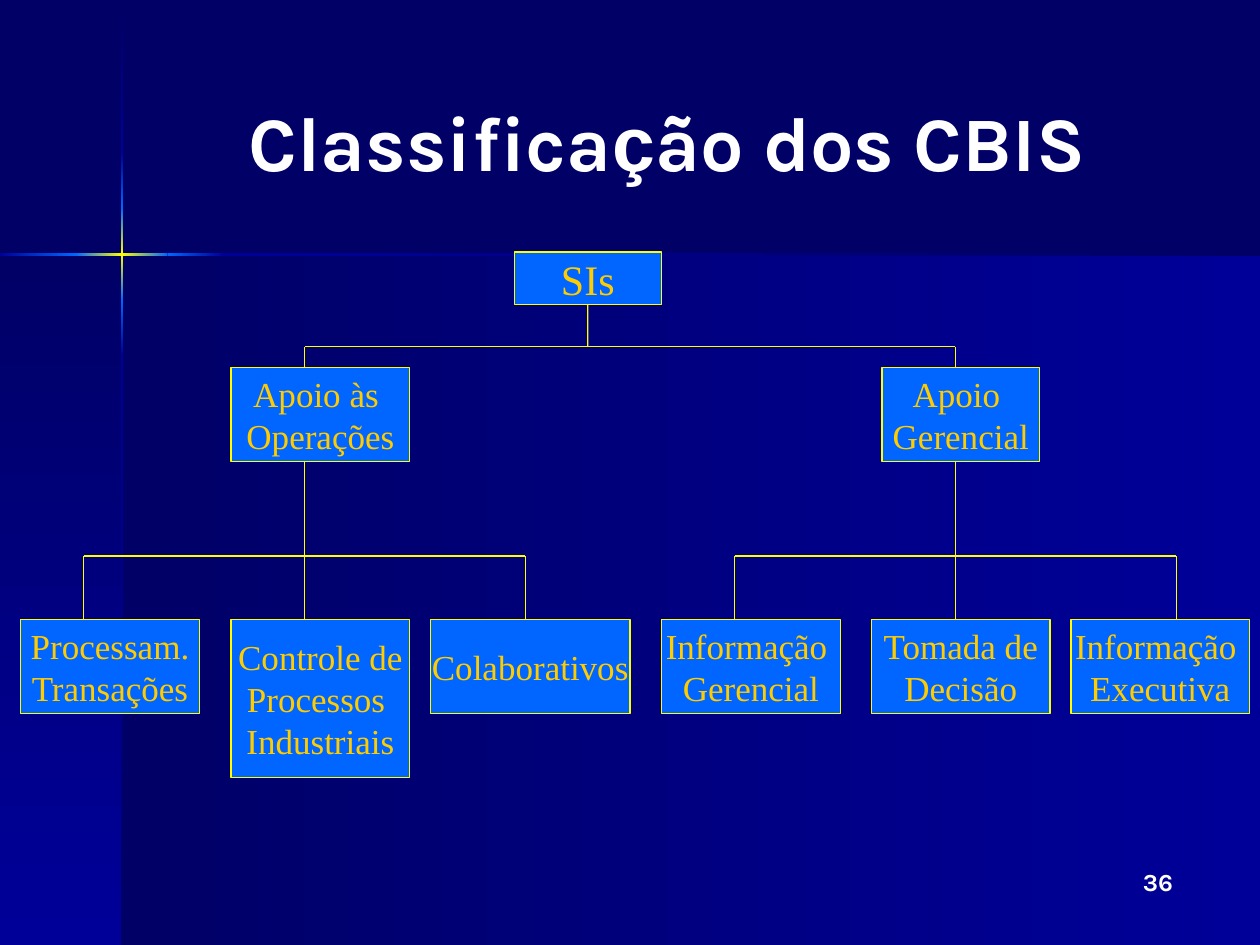
"""Build the slide with the classification tree of the CBIS."""
import itertools

import lxml.etree
import pptx
import pptx.dml.color
import pptx.enum.shapes
import pptx.enum.text
import pptx.oxml.ns
import pptx.util

Cm = pptx.util.Cm
RGBColor = pptx.dml.color.RGBColor
ALIGN = pptx.enum.text.PP_ALIGN
ANCHOR = pptx.enum.text.MSO_ANCHOR
qn = pptx.oxml.ns.qn

NAVY = RGBColor(0x00, 0x00, 0x66)
BLUE = RGBColor(0x00, 0x00, 0x99)
BRIGHT = RGBColor(0x00, 0x66, 0xFF)
YELLOW = RGBColor(0xFF, 0xFF, 0x00)
GOLD = RGBColor(0xFF, 0xCC, 0x00)
WHITE = RGBColor(0xFF, 0xFF, 0xFF)

RIGHT, DOWN = 0, 270
WIDTH, HEIGHT = 25.4, 19.05
CROSS_X, CROSS_Y = 2.46, 5.13
BEAM = 0.05
ROOT_BUS, LEAF_BUS = 6.99, 11.21
BRANCH_TOP, BRANCH_BOTTOM, LEAF_TOP = 7.41, 9.31, 12.49
BOX_W, BOX_H = 3.6, 1.9
LEAF_STEP = 4.45

BRANCHES = [
    (6.14, 4.66, BOX_W, "Apoio às \nOperações"),
    (19.26, 17.78, 3.18, "Apoio \nGerencial"),
]
LEAVES = [
    (0.42, BOX_W, BOX_H, "Processam.\nTransações"),
    (4.66, BOX_W, 3.18, "Controle de\nProcessos \nIndustriais"),
    (8.68, 4.02, BOX_H, "Colaborativos"),
    (13.34, BOX_W, BOX_H, "Informação \nGerencial"),
    (17.57, BOX_W, BOX_H, "Tomada de\nDecisão"),
    (21.59, BOX_W, BOX_H, "Informação \nExecutiva"),
]


def write_text(tf, text, *, size, color, font="Times New Roman", bold=False,
               align=ALIGN.CENTER, anchor=ANCHOR.MIDDLE, wrap=False, arial=""):
    """Write one paragraph per line, setting the characters of arial in Arial."""
    tf.word_wrap = wrap
    tf.vertical_anchor = anchor
    for i, line in enumerate(text.split("\n")):
        p = tf.paragraphs[0] if i == 0 else tf.add_paragraph()
        p.alignment = align
        for in_arial, chars in itertools.groupby(line, lambda c: c in arial):
            r = p.add_run()
            r.text = "".join(chars)
            r.font.name = "Arial" if in_arial else font
            r.font.size = pptx.util.Pt(size)
            r.font.bold = bold
            r.font.color.rgb = color


def add_rect(s, x, y, w, h):
    """Add a rectangle without a shadow."""
    sp = s.shapes.add_shape(pptx.enum.shapes.MSO_SHAPE.RECTANGLE,
                            Cm(x), Cm(y), Cm(w), Cm(h))
    sp.shadow.inherit = False
    return sp


def add_gradient(s, x, y, w, h, angle, *colors):
    """Add a borderless rectangle with evenly spaced gradient colours."""
    sp = add_rect(s, x, y, w, h)
    sp.line.fill.background()
    sp.fill.gradient()
    sp.fill.gradient_angle = angle
    stops = sp._element.spPr.find(".//" + qn("a:gsLst"))
    for stop in list(stops):
        stops.remove(stop)
    for i, color in enumerate(colors):
        position = str(100000 * i // (len(colors) - 1))
        stop = lxml.etree.SubElement(stops, qn("a:gs"), pos=position)
        lxml.etree.SubElement(stop, qn("a:srgbClr"), val=str(color))


def add_box(s, x, y, w, h, text, size=20):
    """Add a labelled box of the tree."""
    sp = add_rect(s, x, y, w, h)
    sp.fill.solid()
    sp.fill.fore_color.rgb = BRIGHT
    sp.line.color.rgb = YELLOW
    sp.line.width = pptx.util.Pt(0.75)
    write_text(sp.text_frame, text, size=size, color=GOLD)
    return sp


def add_line(s, x1, y1, x2, y2):
    """Add a thin yellow straight connector."""
    line = s.shapes.add_connector(pptx.enum.shapes.MSO_CONNECTOR.STRAIGHT,
                                  Cm(x1), Cm(y1), Cm(x2), Cm(y2))
    line.line.color.rgb = YELLOW
    line.line.width = pptx.util.Pt(0.75)
    lxml.etree.SubElement(line._element.spPr, qn("a:effectLst"))
    return line


def add_text(s, x, y, w, h, text, **fmt):
    """Add a text box."""
    sp = s.shapes.add_textbox(Cm(x), Cm(y), Cm(w), Cm(h))
    write_text(sp.text_frame, text, wrap=True, **fmt)


def add_backdrop(s):
    """Add the background panels and the glowing cross."""
    s.background.fill.solid()
    s.background.fill.fore_color.rgb = NAVY
    panel_h = HEIGHT - CROSS_Y
    add_gradient(s, CROSS_X, CROSS_Y, WIDTH - CROSS_X, panel_h, RIGHT, NAVY, BLUE)
    add_gradient(s, 0, CROSS_Y, CROSS_X, panel_h, DOWN, NAVY, BLUE)
    x, y = CROSS_X - BEAM / 2, CROSS_Y - BEAM / 2
    glow = (BRIGHT, YELLOW, BRIGHT)
    for top, bottom, colors in [
        (0.03, 3.07, (NAVY, BLUE)),
        (7.16, HEIGHT, (BLUE, NAVY)),
        (6.05, 7.16, (BRIGHT, BLUE)),
        (3.07, 4.19, (BLUE, BRIGHT)),
        (4.19, 6.05, glow),
    ]:
        add_gradient(s, x, top, BEAM, bottom - top, DOWN, *colors)
    for left, right, colors in [
        (4.5, WIDTH, (BLUE, NAVY)),
        (0, 1.54, (BLUE, BRIGHT)),
        (3.38, 4.5, (BRIGHT, BLUE)),
        (1.53, 3.38, glow),
    ]:
        add_gradient(s, left, y, right - left, BEAM, RIGHT, *colors)


def add_tree(s):
    """Add the boxes of the tree and the lines that join them."""
    root = add_box(s, 10.37, 5.08, 2.96, 1.06, "SIs", size=24)
    for _, x, w, text in BRANCHES:
        add_box(s, x, BRANCH_TOP, w, BOX_H, text)
    for x, w, h, text in LEAVES:
        add_box(s, x, LEAF_TOP, w, h, text)

    root_x = 11.85
    stem = add_line(s, root_x, 6.14, root_x, ROOT_BUS)
    stem.begin_connect(root, 2)
    for x, *_ in BRANCHES:
        add_line(s, root_x, ROOT_BUS, x, ROOT_BUS)
        add_line(s, x, ROOT_BUS, x, BRANCH_TOP)
        add_line(s, x, BRANCH_BOTTOM, x, LEAF_BUS)
        add_line(s, x - LEAF_STEP, LEAF_BUS, x + LEAF_STEP, LEAF_BUS)
        for leaf_x in (x - LEAF_STEP, x, x + LEAF_STEP):
            add_line(s, leaf_x, LEAF_BUS, leaf_x, LEAF_TOP)


def main():
    """Build and save the presentation."""
    prs = pptx.Presentation()
    prs.slide_width, prs.slide_height = Cm(WIDTH), Cm(HEIGHT)
    s = prs.slides.add_slide(prs.slide_layouts[6])
    add_backdrop(s)
    add_text(s, 18.62, 17.35, 5.28, 1.27, "36", size=14, color=WHITE, font="Karla",
             bold=True, align=ALIGN.RIGHT, anchor=ANCHOR.TOP)
    add_text(s, 2.97, 0.84, 20.96, 3.99, "Classificação dos CBIS", size=44,
             color=WHITE, font="Karla", bold=True, arial="ç")
    add_tree(s)
    prs.save("out.pptx")


if __name__ == "__main__":
    main()
